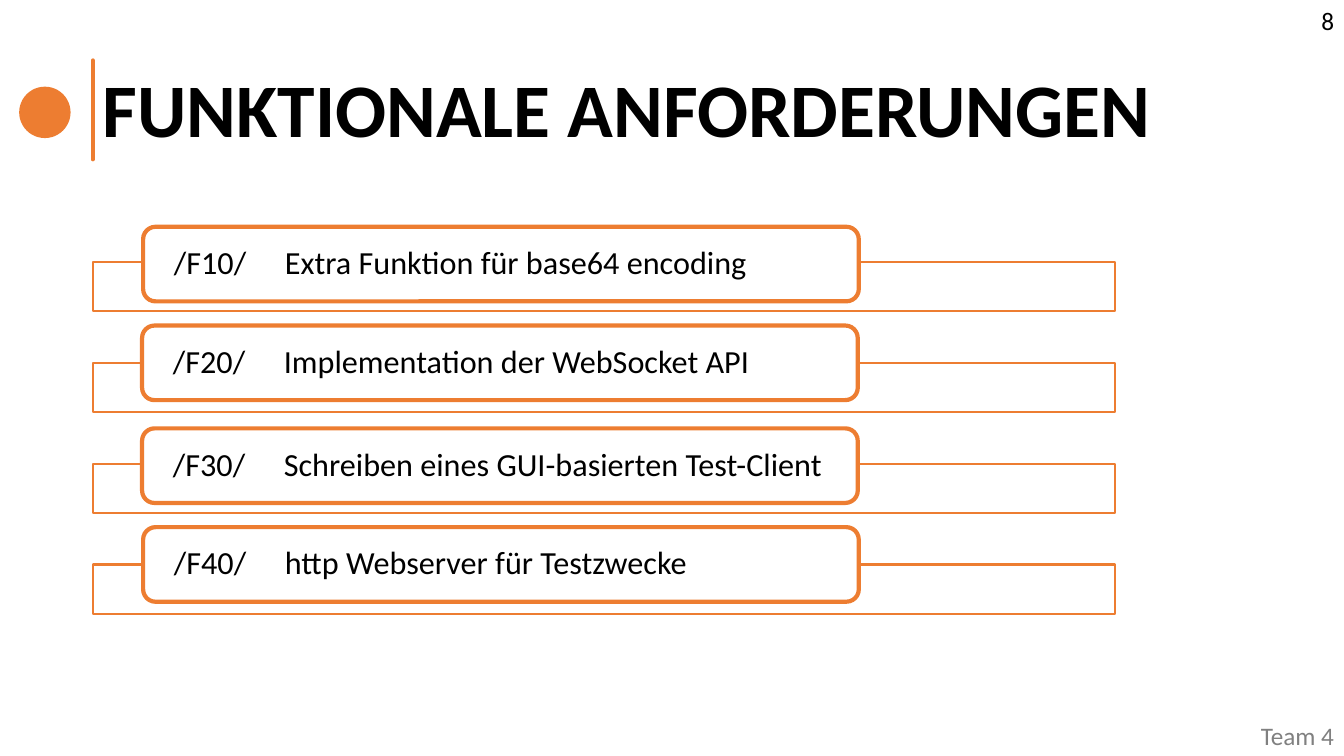
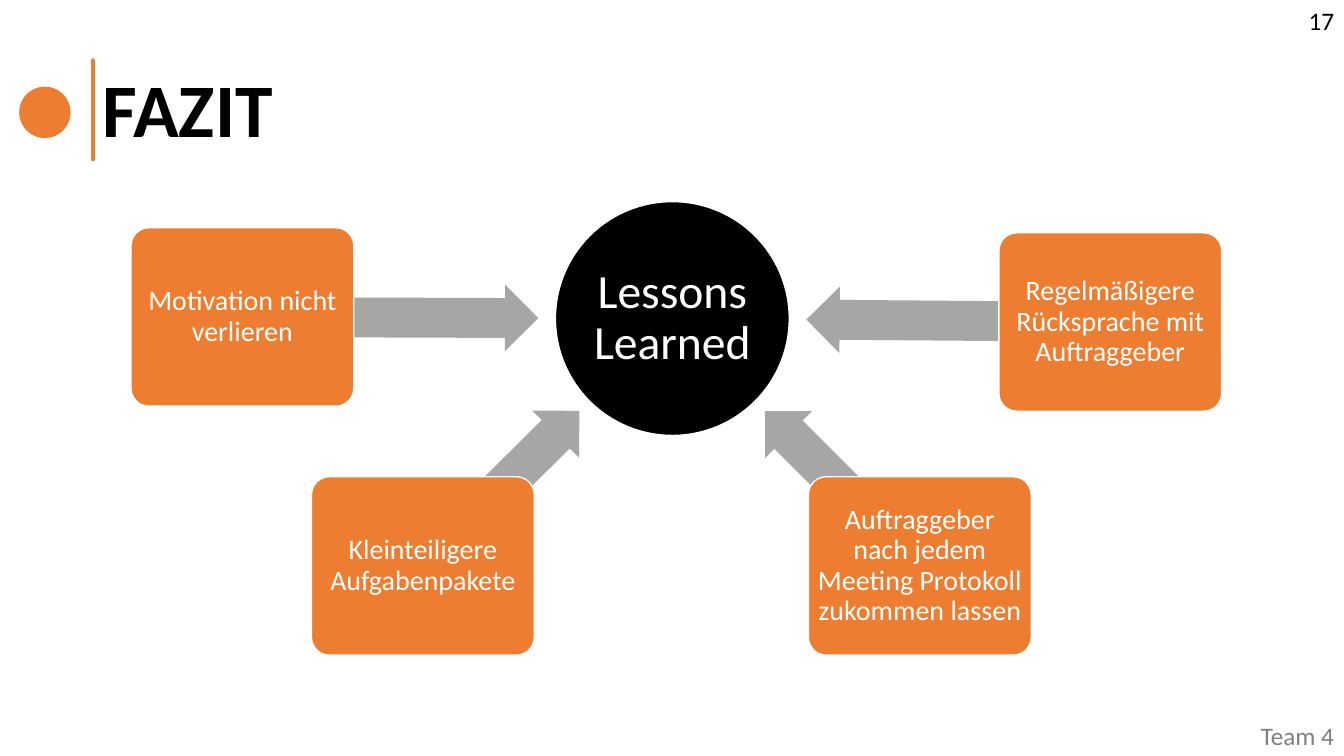
from dataclasses import dataclass
from math import atan2, cos, degrees, hypot, sin

from lxml.etree import SubElement
from pptx import Presentation
from pptx.dml.color import RGBColor as Rgb
from pptx.enum.shapes import MSO_CONNECTOR as Connector, MSO_SHAPE as Preset
from pptx.enum.text import MSO_ANCHOR as Anchor, PP_ALIGN as Align
from pptx.oxml.ns import qn
from pptx.util import Inches, Pt


@dataclass(frozen=True)
class Theme:
    font: str = "Calibri"
    accent: str = "ED7D31"
    dark: str = "000000"
    light: str = "FFFFFF"
    arrow: str = "A6A6A6"
    muted: str = "808080"
    title_size: int = 54
    hub_size: int = 34
    row_size: int = 23
    node_size: int = 20
    small_size: int = 18


THEME = Theme()

# Square grid: ten columns or rows to the inch
COLUMNS, ROWS = 133.33, 75
MARGIN = 9.2
TEAM = "Team 4"

# Requirement rows: text and left column of the rounded box
REQUIREMENTS = [
    ("/F10/\tExtra Funktion für base64 encoding", 14.2),
    ("/F20/\tImplementation der WebSocket API", 14.1),
    ("/F30/\tSchreiben eines GUI-basierten Test-Client", 14.1),
    ("/F40/\thttp Webserver für Testzwecke", 14.2),
]

# Lessons: text, left column, top row, distance of arrow tip from hub centre
HUB_CENTRE, HUB_SIZE = (66.7, 31.6), 23.2
NODE_WIDTH, NODE_HEIGHT = 22.1, 17.7
LESSONS = [
    ("Motivation nicht verlieren", 13, 22.6, 13.3),
    ("Kleinteiligere Aufgabenpakete", 30.9, 47.3, 13),
    ("Auftraggeber nach jedem Meeting Protokoll zukommen lassen", 80.2, 47.3, 13),
    ("Regelmäßigere Rücksprache mit Auftraggeber", 99.1, 23.1, 13.3),
]


def grid(*cells):
    return [Inches(cell / 10) for cell in cells]


def apply_format(target, **values):
    for name, value in values.items():
        setattr(target, name, value)


def write(shape, text, size, color, align=Align.LEFT, inset=(1, 0.5),
          anchor=Anchor.MIDDLE, spacing=0.9, bold=False, wrap=True):
    """Write one formatted paragraph into a shape, text box or placeholder."""
    side, edge = grid(*inset)
    frame = shape.text_frame
    apply_format(frame, word_wrap=wrap, vertical_anchor=anchor,
                 margin_left=side, margin_right=side,
                 margin_top=edge, margin_bottom=edge)
    para = frame.paragraphs[0]
    apply_format(para, alignment=align, line_spacing=spacing)
    span = para.add_run()
    span.text = text
    apply_format(span.font, name=THEME.font, size=Pt(size), bold=bold)
    span.font.color.rgb = Rgb.from_string(color)
    return para


def add_preset(page, preset, place, fill, line=None, width=1, adjust=()):
    shape = page.shapes.add_shape(preset, *grid(*place))
    shape.shadow.inherit = False
    shape.fill.solid()
    shape.fill.fore_color.rgb = Rgb.from_string(fill)
    if line:
        shape.line.color.rgb = Rgb.from_string(line)
        shape.line.width = Pt(width)
    else:
        shape.line.fill.background()
    for index, value in enumerate(adjust):
        shape.adjustments[index] = value
    return shape


def add_corner_text(page, text, top, color):
    """Right-aligned small text that ends at the slide's right edge."""
    box = page.shapes.add_textbox(*grid(COLUMNS - 9.4, top, 9.4, 4))
    write(box, text, THEME.small_size, color, Align.RIGHT,
          anchor=Anchor.TOP, spacing=1, wrap=True)


def add_title_rule(page):
    rule = page.shapes.add_connector(
        Connector.STRAIGHT, *grid(MARGIN, 15.8, MARGIN, 6))
    rule.line.color.rgb = Rgb.from_string(THEME.accent)
    rule.line.width = Pt(3)
    properties = rule.element.spPr
    properties.find(qn("a:ln")).set("cap", "rnd")
    SubElement(properties, qn("a:effectLst"))


def add_page(deck, title, number):
    """Title-only slide with the shared title, marker, rule and corner texts."""
    page = deck.slides.add_slide(deck.slide_layouts[5])
    heading = page.shapes.title
    left, top, width, height = grid(MARGIN, 4, 115, 14.5)
    apply_format(heading, left=left, top=top, width=width, height=height)
    write(heading, title, THEME.title_size, THEME.dark, bold=True)
    add_title_rule(page)
    add_preset(page, Preset.OVAL, (1.9, 8.6, 5.1, 5.1), THEME.accent)
    add_corner_text(page, str(number), 0, THEME.dark)
    add_corner_text(page, TEAM, 71, THEME.muted)
    return page


def add_requirement(page, index, text, left):
    """Wide band with a rounded box lying over its upper edge."""
    top = 26 + 10 * index
    add_preset(page, Preset.RECTANGLE, (MARGIN, top, 101.4, 4.9),
               THEME.light, THEME.accent, 1.5)
    lift = 3.7 if index % 2 else 3.5
    box = add_preset(page, Preset.ROUNDED_RECTANGLE,
                     (left, top - lift, 71, 7.4), THEME.light, THEME.accent, 3)
    para = write(box, text, THEME.row_size, THEME.dark, inset=(2.7, 0))
    # Tab stop between the number and the description
    stops = SubElement(para._p.get_or_add_pPr(), qn("a:tabLst"))
    SubElement(stops, qn("a:tab"), pos=str(Inches(1.1)), algn="l")


def add_hub(page, text):
    x, y = (centre - HUB_SIZE / 2 for centre in HUB_CENTRE)
    hub = add_preset(page, Preset.OVAL, (x, y, HUB_SIZE, HUB_SIZE),
                     THEME.dark, THEME.light)
    write(hub, text, THEME.hub_size, THEME.light, Align.CENTER, (0.2, 0.2))


def add_lesson(page, text, left, top, reach):
    """Rounded node with an arrow from its centre towards the hub."""
    hub_x, hub_y = HUB_CENTRE
    across = left + NODE_WIDTH / 2 - hub_x
    down = top + NODE_HEIGHT / 2 - hub_y
    distance, angle = hypot(across, down), atan2(down, across)
    length, thickness = distance - reach, 6.6
    middle = (distance + reach) / 2
    place = (hub_x + middle * cos(angle) - length / 2,
             hub_y + middle * sin(angle) - thickness / 2, length, thickness)
    arrow = add_preset(page, Preset.LEFT_ARROW, place, THEME.arrow,
                       adjust=(0.6, 0.5))
    arrow.rotation = degrees(angle) % 360
    node = add_preset(page, Preset.ROUNDED_RECTANGLE,
                      (left, top, NODE_WIDTH, NODE_HEIGHT),
                      THEME.accent, THEME.light, adjust=(0.1,))
    write(node, text, THEME.node_size, THEME.light, Align.CENTER, (0.4, 0.4))


def main():
    deck = Presentation()
    deck.slide_width, deck.slide_height = grid(COLUMNS, ROWS)

    # Functional requirements
    page = add_page(deck, "FUNKTIONALE ANFORDERUNGEN", 8)
    for index, (text, left) in enumerate(REQUIREMENTS):
        add_requirement(page, index, text, left)

    # Conclusion
    page = add_page(deck, "FAZIT", 17)
    add_hub(page, "Lessons Learned")
    for lesson in LESSONS:
        add_lesson(page, *lesson)

    deck.save("out.pptx")


if __name__ == "__main__":
    main()
